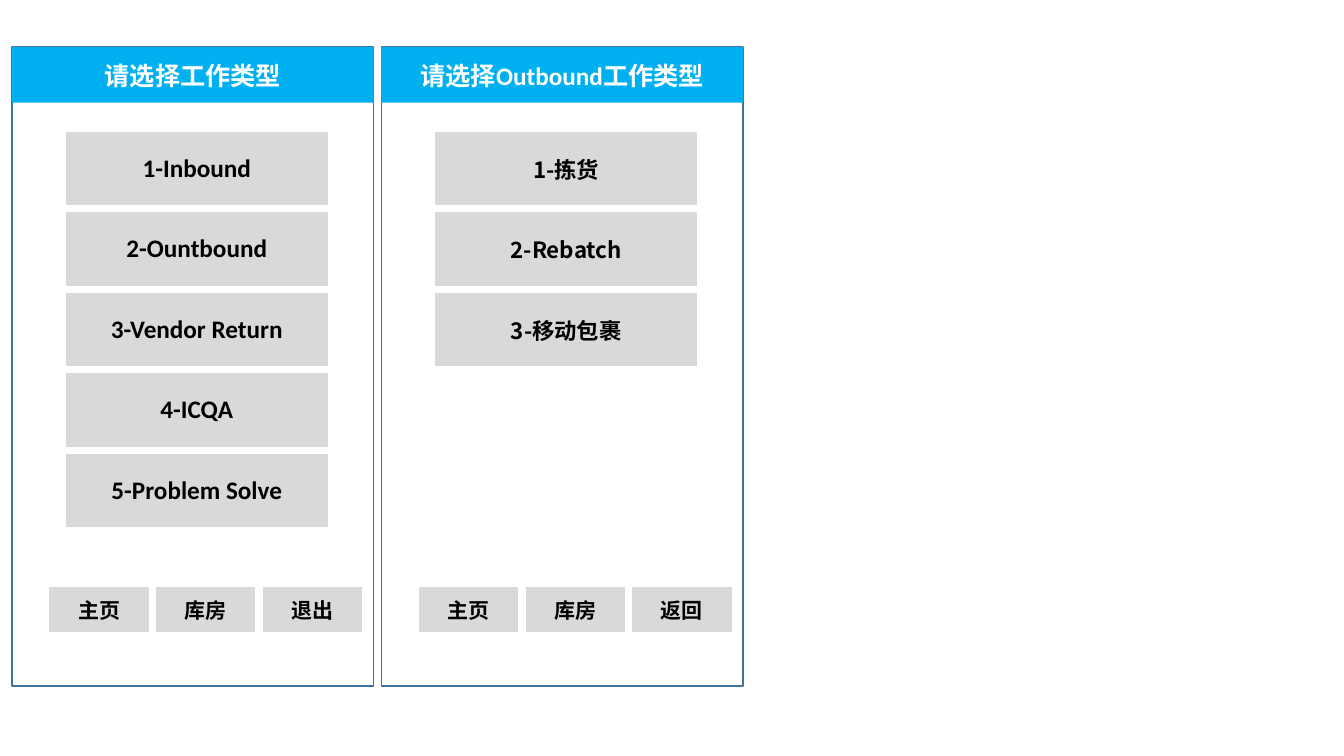
from lxml import etree
from pptx import Presentation
from pptx import util as u
from pptx.dml.color import RGBColor
from pptx.enum import shapes, text
from pptx.oxml import ns

SKY = RGBColor(0x00, 0xB0, 0xF0)
STEEL = RGBColor(0x43, 0x73, 0x9E)
GREY = RGBColor(0xD9, 0xD9, 0xD9)
WHITE = RGBColor(0xFF, 0xFF, 0xFF)
BLACK = RGBColor(0x00, 0x00, 0x00)
LATIN, CJK = "Calibri", "Noto Sans CJK SC"

# Layout in cm
PANEL_LEFT, PANEL_TOP, PANEL_PITCH = 0.3, 1.19, 9.31
PANEL_W, PANEL_H, HEADER_H = 9.12, 16.1, 1.4
MENU_INDENT, MENU_TOP, MENU_W, MENU_ROW = 1.27, 3.23, 6.78, 2.03
NAV_INDENT, NAV_TOP, NAV_COL, NAV_ROW = 0.85, 14.71, 2.69, 1.3

# Title, menu items, menu font, menu size, navigation buttons
SCREENS = [
    ("请选择工作类型",
     ["1-Inbound", "2-Ountbound", "3-Vendor Return", "4-ICQA", "5-Problem Solve"],
     LATIN, 18, ["主页", "库房", "退出"]),
    ("请选择Outbound工作类型",
     ["1-拣货", "2-Rebatch", "3-移动包裹"],
     CJK, 16, ["主页", "库房", "返回"]),
]


class ScreenBuilder:
    def __init__(self, slide):
        self.s = slide
        self.border_width = u.Pt(6)

    def label(self, tf, content, font, size, color):
        p = tf.paragraphs[0]
        p.alignment = text.PP_ALIGN.CENTER
        r = p.add_run()
        r.text = content
        for name, value in {"name": font, "size": u.Pt(size), "bold": True}.items():
            setattr(r.font, name, value)
        r.font.color.rgb = color
        ea = etree.SubElement(r.font._element, ns.qn("a:ea"))
        ea.set("typeface", CJK)

    def rect(self, left, top, width, height, fill=None, line=None):
        sp = self.s.shapes.add_shape(
            shapes.MSO_SHAPE.RECTANGLE,
            u.Cm(left), u.Cm(top), u.Cm(width), u.Cm(height))
        sp.shadow.inherit = False
        if fill is None:
            sp.fill.background()
        else:
            sp.fill.solid()
            sp.fill.fore_color.rgb = fill
        if line is None:
            sp.line.fill.background()
        else:
            sp.line.color.rgb = line
            sp.line.width = u.Pt(1)
        return sp

    def header(self, left, title):
        sp = self.rect(left, PANEL_TOP, PANEL_W, HEADER_H, fill=SKY)
        sp.text_frame.vertical_anchor = text.MSO_ANCHOR.MIDDLE
        self.label(sp.text_frame, title, LATIN, 18, WHITE)

    def borders(self, cell):
        tcPr = cell._tc.get_or_add_tcPr()
        for side in ("L", "R", "T", "B"):
            ln = etree.SubElement(tcPr, ns.qn(f"a:ln{side}"), w=str(int(self.border_width)))
            fill = etree.SubElement(ln, ns.qn("a:solidFill"))
            etree.SubElement(fill, ns.qn("a:srgbClr"), val=str(WHITE))

    def buttons(self, left, top, col_w, row_h, rows, font, size, margins):
        n_rows, n_cols = len(rows), len(rows[0])
        table = self.s.shapes.add_table(
            n_rows, n_cols, u.Cm(left), u.Cm(top),
            u.Cm(col_w * n_cols), u.Cm(row_h * n_rows)).table
        table.first_row = table.horz_banding = False
        for i, names in enumerate(rows):
            for j, name in enumerate(names):
                cell = table.cell(i, j)
                cell.vertical_anchor = text.MSO_ANCHOR.MIDDLE
                for side, value in margins.items():
                    setattr(cell, f"margin_{side}", u.Cm(value))
                self.borders(cell)
                cell.fill.solid()
                cell.fill.fore_color.rgb = GREY
                self.label(cell.text_frame, name, font, size, BLACK)


def main():
    prs = Presentation()
    prs.slide_width, prs.slide_height = u.Cm(33.87), u.Cm(19.05)
    b = ScreenBuilder(prs.slides.add_slide(prs.slide_layouts[6]))
    menu_margins = {"left": 0.18, "right": 0.18, "top": 0.1, "bottom": 0.1}

    for i, (title, items, font, size, nav) in enumerate(SCREENS):
        left = PANEL_LEFT + i * PANEL_PITCH
        # Screen frame and title bar
        b.rect(left, PANEL_TOP, PANEL_W, PANEL_H, line=STEEL)
        b.header(left, title)
        # Menu of work types
        b.buttons(left + MENU_INDENT, MENU_TOP, MENU_W, MENU_ROW,
                  [[item] for item in items], font, size, menu_margins)
        # Navigation buttons
        b.buttons(left + NAV_INDENT, NAV_TOP, NAV_COL, NAV_ROW, [nav], CJK, 15, {})

    prs.save("out.pptx")


if __name__ == "__main__":
    main()
